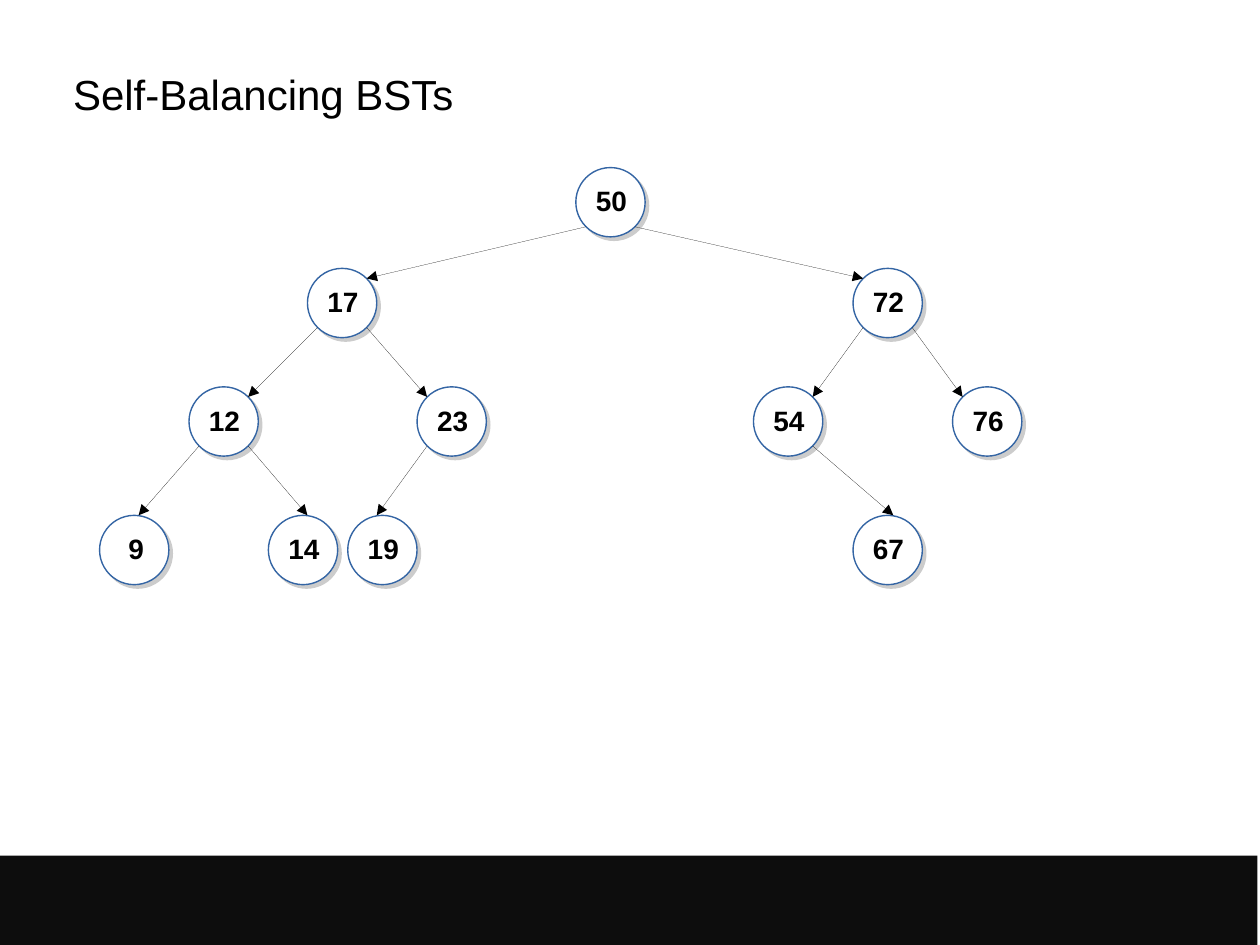
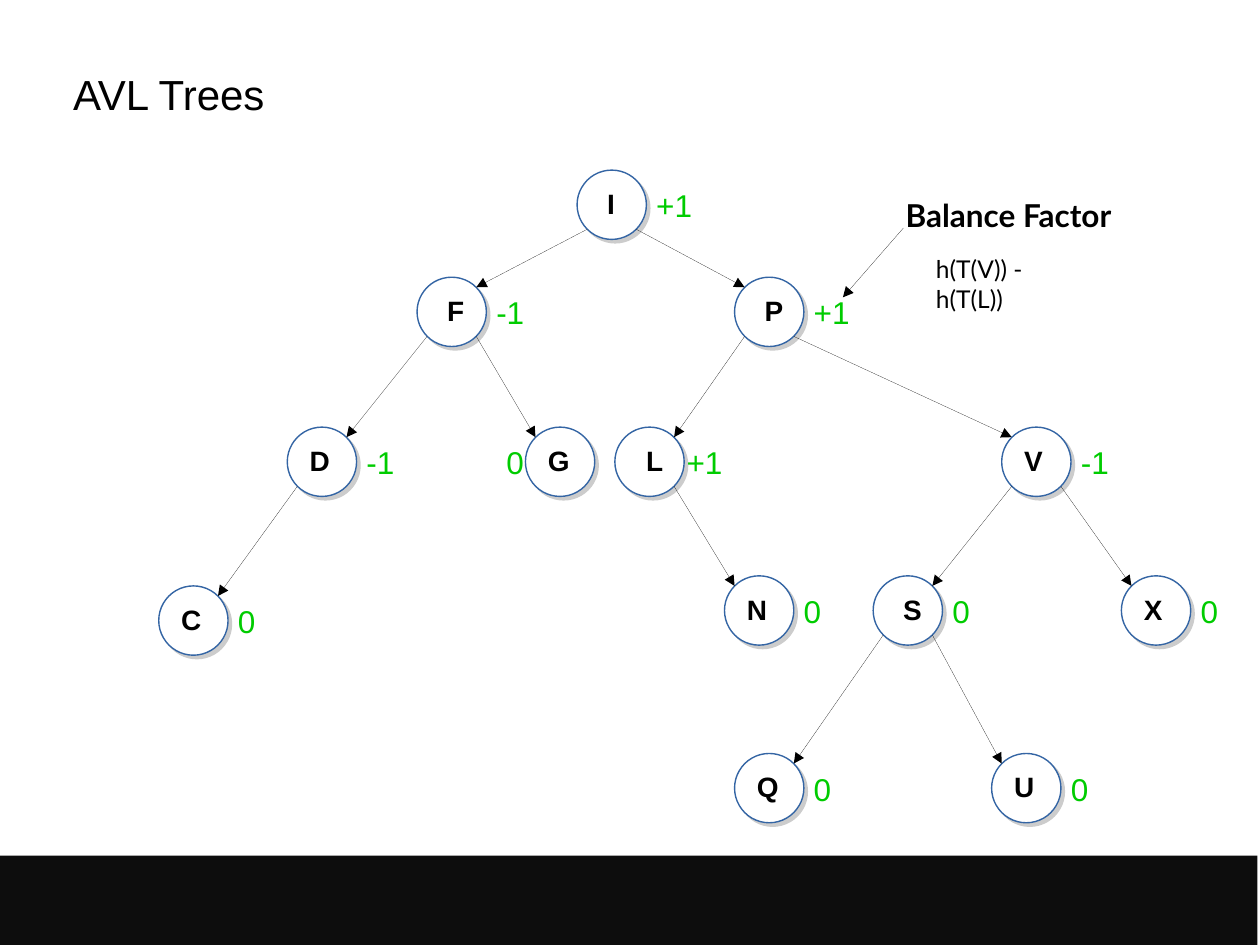
"""Build two slides on balanced search trees."""
from dataclasses import dataclass

from lxml import etree
from pptx import Presentation, slide as sl, util as u
from pptx.dml.color import RGBColor
from pptx.enum import shapes, text
from pptx.oxml import ns

BLACK = RGBColor(0x00, 0x00, 0x00)
WHITE = RGBColor(0xFF, 0xFF, 0xFF)
BAND = RGBColor(0x0D, 0x0D, 0x0D)
BLUE = RGBColor(0x34, 0x65, 0xA4)
GREEN = RGBColor(0x00, 0xCC, 0x00)
SHADE = RGBColor(0xCC, 0xCC, 0xCC)
SIZE = 0.55
NEAR, FAR = 0.08, 0.47
WIDTHS = {"+1": 0.52, "-1": 0.42, "0": 0.34}


@dataclass
class Node:
    """A tree node with its parent, label inset and balance factor."""
    name: str
    x: float
    y: float
    up: str = ""
    dx: float = 0.08
    wide: float = 0.33
    factor: str = ""
    gap: float = 0.53
    tip: float | None = None


@dataclass
class Num(Node):
    """A node that holds a two-digit number."""
    dx: float = 0.06
    wide: float = 0.49


NUMBERS = [
    Num("50", 4.57, 1.33),
    Num("17", 2.44, 2.13, "50"),
    Num("72", 6.77, 2.13, "50"),
    Num("12", 1.5, 3.07, "17"),
    Num("23", 3.31, 3.07, "17"),
    Num("54", 5.98, 3.07, "72"),
    Num("76", 7.56, 3.07, "72"),
    Num("9", 0.79, 4.09, "12", dx=0.13, wide=0.34, tip=0.31),
    Num("14", 2.13, 4.09, "12", tip=0.31),
    Num("19", 2.76, 4.09, "23", tip=0.23),
    Num("67", 6.77, 4.09, "54", tip=0.32),
]
LETTERS = [
    Node("I", 4.58, 1.35, dx=0.14, wide=0.24, factor="+1"),
    Node("F", 3.31, 2.2, "I", dx=0.14, factor="-1"),
    Node("P", 5.83, 2.2, "I", dx=0.14, factor="+1"),
    Node("D", 2.28, 3.39, "F", factor="-1"),
    Node("G", 4.17, 3.39, "F", factor="0", gap=-0.25),
    Node("L", 4.88, 3.39, "P", dx=0.15, factor="+1", gap=0.47),
    Node("V", 7.95, 3.39, "P", factor="-1"),
    Node("C", 1.26, 4.65, "D", factor="0"),
    Node("N", 5.75, 4.57, "L", factor="0"),
    Node("S", 6.93, 4.57, "V", dx=0.14, factor="0"),
    Node("X", 8.9, 4.57, "V", factor="0"),
    Node("Q", 5.83, 5.98, "S", factor="0"),
    Node("U", 7.87, 5.98, "S", factor="0"),
]


def box(*vals: float) -> list[u.Length]:
    """Turn inches into lengths."""
    return [u.Inches(val) for val in vals]


def style(para, size: int, color: RGBColor = BLACK, face: str = "Arial", bold: bool = False) -> None:
    """Set the font of a paragraph."""
    font = para.font
    font.size, font.name, font.bold = u.Pt(size), face, bold
    font.color.rgb = color


def write(page: sl.Slide, words: str, at: tuple[float, ...], size: int, wrap: bool = False, **look) -> None:
    """Add a text box."""
    frame = page.shapes.add_textbox(*box(*at)).text_frame
    frame.word_wrap = wrap
    frame.text = words
    style(frame.paragraphs[0], size, **look)


def arrow(page: sl.Slide, *ends: float) -> None:
    """Add a hairline arrow."""
    line = page.shapes.add_connector(shapes.MSO_CONNECTOR.STRAIGHT, *box(*ends))
    line.line.color.rgb = BLACK
    props = line.element.spPr
    edge = props.find(ns.qn("a:ln"))
    edge.set("w", "0")
    etree.SubElement(edge, ns.qn("a:tailEnd"), type="triangle")
    etree.SubElement(props, ns.qn("a:effectLst"))


def disc(page: sl.Slide, node: Node) -> None:
    """Add a shaded circle and its label."""
    ring = page.shapes.add_shape(shapes.MSO_SHAPE.OVAL, *box(node.x, node.y, SIZE, SIZE))
    ring.fill.solid()
    ring.fill.fore_color.rgb = WHITE
    ring.line.color.rgb = BLUE
    ring.line.width = u.Pt(0.79)
    ring.shadow.inherit = False
    glow = etree.SubElement(ring.element.spPr.find(ns.qn("a:effectLst")), ns.qn("a:outerShdw"),
                            blurRad="0", dist=str(u.Pt(2.8)), dir="2700000", algn="tl", rotWithShape="0")
    etree.SubElement(glow, ns.qn("a:srgbClr"), val=str(SHADE))
    write(page, node.name, (node.x + node.dx, node.y + 0.08, node.wide, 0.35), 16, bold=True, wrap=True)


def tree(page: sl.Slide, nodes: list[Node]) -> None:
    """Draw nodes, then arrows, then balance factors."""
    known = {node.name: node for node in nodes}
    for node in nodes:
        disc(page, node)
    for node in nodes:
        if node.up:
            top = known[node.up]
            start, end = (NEAR, FAR) if node.x < top.x else (FAR, NEAR)
            drop = NEAR if node.tip is None else 0
            end = end if node.tip is None else node.tip
            arrow(page, top.x + start, top.y + FAR, node.x + end, node.y + drop)
    for node in nodes:
        if node.factor:
            at = (node.x + node.gap, node.y + 0.08, WIDTHS[node.factor], 0.38)
            write(page, node.factor, at, 18, color=GREEN)


def start(deck, title: str) -> sl.Slide:
    """Add a slide with the shared band and title."""
    page = deck.slides.add_slide(deck.slide_layouts[5])
    band = page.shapes.add_shape(shapes.MSO_SHAPE.RECTANGLE, *box(-0.02, 6.79, 10, 0.71))
    band.fill.solid()
    band.fill.fore_color.rgb = BAND
    band.line.fill.background()
    band.shadow.inherit = False
    head = page.shapes.title
    head.left, head.top, head.width, head.height = box(0.58, 0.33, 8.92, 0.83)
    frame = head.text_frame
    frame.margin_left = frame.margin_right = frame.margin_top = frame.margin_bottom = 0
    frame.vertical_anchor = text.MSO_ANCHOR.MIDDLE
    frame.auto_size = text.MSO_AUTO_SIZE.NONE
    frame.text = title
    frame.paragraphs[0].alignment = text.PP_ALIGN.LEFT
    style(frame.paragraphs[0], 24)
    return page


def main() -> None:
    """Build and save the deck."""
    deck = Presentation()
    deck.slide_width, deck.slide_height = box(10, 7.5)
    tree(start(deck, "Self-Balancing BSTs"), NUMBERS)
    page = start(deck, "AVL Trees")
    tree(page, LETTERS)
    write(page, "Balance Factor", (7.09, 1.51, 1.9, 0.4), 18, face="Lato", bold=True)
    arrow(page, 7.17, 1.81, 6.69, 2.36)
    write(page, "h(T(V)) - h(T(L))", (7.33, 1.97, 1.3, 0.33), 14, face="Lato", wrap=True)
    deck.save("out.pptx")


if __name__ == "__main__":
    main()
